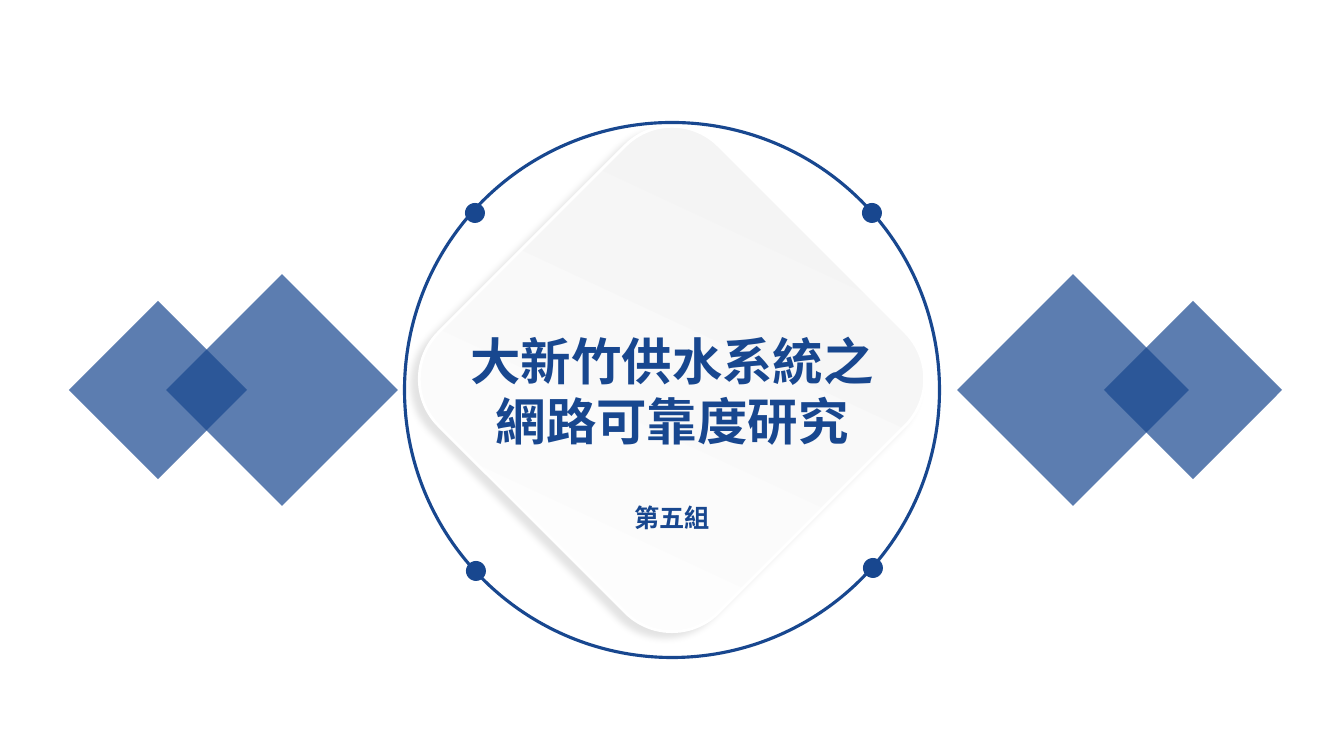
from dataclasses import dataclass

from lxml import etree
from pptx import Presentation
from pptx import util as u
from pptx.dml.color import RGBColor
from pptx.enum import shapes, text
from pptx.oxml import ns

PX = 914400 / 100.8
NAVY = RGBColor(0x18, 0x47, 0x8F)
WHITE = RGBColor(0xFF, 0xFF, 0xFF)
PALE_GREY = RGBColor(0xF2, 0xF2, 0xF2)
BLACK = RGBColor(0, 0, 0)
SHAPE = shapes.MSO_SHAPE


@dataclass(frozen=True)
class Figure:
    x: int
    y: int
    size: int


@dataclass(frozen=True)
class Line:
    words: str
    font: str
    size: int
    height: int
    gap: int = 0


DIAMONDS = [
    Figure(282, 390, 164),
    Figure(158, 390, 126),
    Figure(1073, 390, 164),
    Figure(1193, 390, 126),
]
PLAQUE = Figure(672, 379, 396)
RING = Figure(672, 390, 535)
DOTS = [
    Figure(475, 213, 20),
    Figure(873, 568, 20),
    Figure(476, 571, 20),
    Figure(872, 213, 20),
]
LINES = [
    Line("大新竹供水系統之", "Noto Sans CJK TC", 36, 43),
    Line("網路可靠度研究", "Noto Sans CJK TC", 36, 43),
    Line("第五組", "Noto Sans CJK JP", 18, 22, 37),
]


def px(length: float) -> u.Emu:
    return u.Emu(round(length * PX))


def add_figure(slide, kind, figure: Figure, rotation: int = 0):
    corner = (figure.x - figure.size / 2, figure.y - figure.size / 2)
    shape = slide.shapes.add_shape(
        kind, *map(px, (*corner, figure.size, figure.size))
    )
    shape.rotation = rotation
    shape.shadow.inherit = False
    return shape


def paint(shape, color: RGBColor, opacity: int = 100) -> None:
    shape.fill.solid()
    shape.fill.fore_color.rgb = color
    shape.line.fill.background()
    if opacity < 100:
        add_alpha(shape.fill._xPr.find(".//" + ns.qn("a:srgbClr")), opacity)


def add_alpha(color_element, opacity: int) -> None:
    etree.SubElement(color_element, ns.qn("a:alpha"), val=str(opacity * 1000))


def outline(shape, color: RGBColor, width: float) -> None:
    shape.line.color.rgb = color
    shape.line.width = u.Pt(width)


def cast_shadow(shape, blur: int, distance: int, angle: int, opacity: int) -> None:
    effects = shape._element.spPr.find(ns.qn("a:effectLst"))
    shadow = etree.SubElement(
        effects,
        ns.qn("a:outerShdw"),
        blurRad=str(px(blur)),
        dist=str(px(distance)),
        dir=str(angle * 60000),
        algn="ctr",
        rotWithShape="0",
    )
    color = etree.SubElement(shadow, ns.qn("a:srgbClr"), val=str(BLACK))
    add_alpha(color, opacity)


def add_plaque(slide) -> None:
    plaque = add_figure(slide, SHAPE.ROUNDED_RECTANGLE, PLAQUE, 45)
    plaque.fill.gradient()
    plaque.fill.gradient_angle = 110
    for stop, color in zip(plaque.fill.gradient_stops, (WHITE, PALE_GREY)):
        stop.color.rgb = color
    for stop, position in zip(plaque.fill.gradient_stops, (0, 1)):
        stop.position = position
    outline(plaque, WHITE, 2)
    cast_shadow(plaque, 7, 9, 150, 11)


def add_title(slide) -> None:
    box = slide.shapes.add_textbox(*map(px, (207, 325, 930, 217)))
    frame = box.text_frame
    frame.word_wrap = True
    for index, line in enumerate(LINES):
        paragraph = frame.add_paragraph() if index else frame.paragraphs[0]
        layout = {
            "alignment": text.PP_ALIGN.CENTER,
            "line_spacing": u.Pt(line.height),
            "space_before": u.Pt(line.gap),
        }
        for name, value in layout.items():
            setattr(paragraph, name, value)
        run = paragraph.add_run()
        run.text = line.words
        style = {"name": line.font, "size": u.Pt(line.size), "bold": True}
        for name, value in style.items():
            setattr(run.font, name, value)
        run.font.color.rgb = NAVY
        etree.SubElement(
            run._r.get_or_add_rPr(), ns.qn("a:ea"), typeface=line.font
        )


def main() -> None:
    presentation = Presentation()
    presentation.slide_width = px(1344)
    presentation.slide_height = px(756)
    slide = presentation.slides.add_slide(presentation.slide_layouts[6])
    for diamond in DIAMONDS:
        paint(add_figure(slide, SHAPE.RECTANGLE, diamond, 45), NAVY, 70)
    add_plaque(slide)
    ring = add_figure(slide, SHAPE.OVAL, RING)
    ring.fill.background()
    outline(ring, NAVY, 2.25)
    add_title(slide)
    for dot in DOTS:
        paint(add_figure(slide, SHAPE.OVAL, dot), NAVY)
    presentation.save("out.pptx")


if __name__ == "__main__":
    main()
